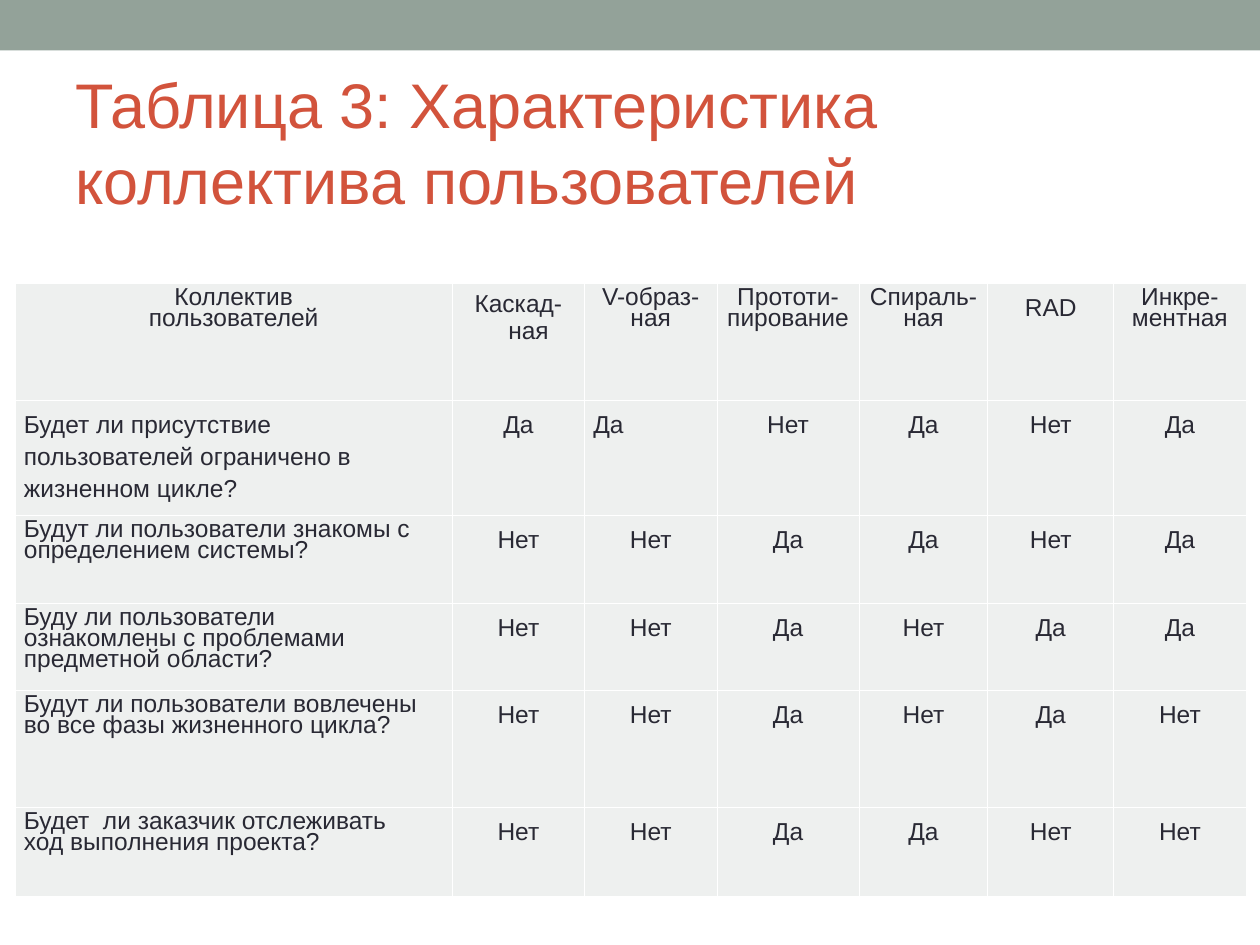
from dataclasses import dataclass

from pptx import Presentation
from pptx.dml.color import RGBColor
from pptx.enum.shapes import MSO_SHAPE
from pptx.enum.text import MSO_ANCHOR, PP_ALIGN
from pptx.oxml import parse_xml
from pptx.oxml.ns import nsdecls
from pptx.slide import Slide
from pptx.table import Table, _Cell
from pptx.text.text import _Paragraph
from pptx.util import Inches, Length, Pt


@dataclass(frozen=True)
class Theme:
    font: str = "Arial"
    band: str = "93A299"
    title: str = "D2533C"
    text: str = "292934"
    cell: str = "EEF0EF"
    border: str = "FFFFFF"
    title_size: Length = Pt(36)
    text_size: Length = Pt(14)
    border_width: Length = Pt(0.45)


@dataclass(frozen=True)
class CellText:
    text: str
    align: PP_ALIGN = PP_ALIGN.CENTER
    spacing: float | Length = 1.16
    last_line_indent: Length = Inches(0)


@dataclass(frozen=True)
class Question:
    text: str
    answers: str
    spacing: float | Length = Pt(12)


THEME = Theme()
TIGHT = Pt(12)
COLUMN_WIDTHS = (3.47, 1.05, 1.05, 1.13, 1.02, 1, 1.05)
ROW_HEIGHTS = (0.93, 0.81, 0.7, 0.69, 0.93, 0.7)

HEADER = [
    CellText("Коллектив\nпользователей", spacing=TIGHT),
    CellText("Каскад-\nная", spacing=1.0, last_line_indent=Inches(0.16)),
    CellText("V-образ-\nная", spacing=TIGHT),
    CellText("Прототи-\nпирование", spacing=TIGHT),
    CellText("Спираль-\nная", spacing=TIGHT),
    CellText("RAD"),
    CellText("Инкре-\nментная", spacing=TIGHT),
]

QUESTIONS = [
    Question(
        "Будет ли присутствие пользователей ограничено в жизненном цикле?",
        "Да Да Нет Да Нет Да",
        1.16,
    ),
    Question(
        "Будут ли пользователи знакомы с\nопределением системы?",
        "Нет Нет Да Да Нет Да",
    ),
    Question(
        "Буду ли пользователи\nознакомлены с проблемами\nпредметной области?",
        "Нет Нет Да Нет Да Да",
    ),
    Question(
        "Будут ли пользователи вовлечены\nво все фазы жизненного цикла?",
        "Нет Нет Да Нет Да Нет",
    ),
    Question(
        "Будет  ли заказчик отслеживать\nход выполнения проекта?",
        "Нет Нет Да Да Нет Нет",
    ),
]


def set_font(paragraph: _Paragraph, size: Length, color: str) -> None:
    paragraph.font.name = THEME.font
    paragraph.font.size = size
    paragraph.font.color.rgb = RGBColor.from_string(color)


def add_band(slide: Slide) -> None:
    band = slide.shapes.add_shape(
        MSO_SHAPE.RECTANGLE, Inches(0), Inches(0), Inches(10), Inches(0.4)
    )
    band.shadow.inherit = False
    band.fill.solid()
    band.fill.fore_color.rgb = RGBColor.from_string(THEME.band)
    band.line.fill.background()


def add_title(slide: Slide, text: str) -> None:
    title = slide.shapes.add_textbox(Inches(0.5), Inches(0.58), Inches(9), Inches(1.08))
    frame = title.text_frame
    frame.word_wrap = True
    frame.vertical_anchor = MSO_ANCHOR.MIDDLE
    frame.text = text
    set_font(frame.paragraphs[0], THEME.title_size, THEME.title)


def add_borders(cell: _Cell) -> None:
    properties = cell._tc.get_or_add_tcPr()
    for side in ("lnL", "lnR", "lnT", "lnB"):
        properties.append(parse_xml(
            f'<a:{side} {nsdecls("a")} w="{THEME.border_width}"><a:solidFill>'
            f'<a:srgbClr val="{THEME.border}"/></a:solidFill></a:{side}>'
        ))


def fill_cell(cell: _Cell, content: CellText) -> None:
    add_borders(cell)
    cell.fill.solid()
    cell.fill.fore_color.rgb = RGBColor.from_string(THEME.cell)
    cell.margin_left = cell.margin_right = Inches(0.07)
    cell.margin_top = cell.margin_bottom = Inches(0.05)
    cell.text = content.text
    paragraphs = cell.text_frame.paragraphs
    for paragraph in paragraphs:
        paragraph.alignment = content.align
        paragraph.line_spacing = content.spacing
        set_font(paragraph, THEME.text_size, THEME.text)
    if content.last_line_indent:
        paragraphs[-1]._p.get_or_add_pPr().set("marL", str(content.last_line_indent))


def build_rows() -> list[list[CellText]]:
    rows = [HEADER]
    for question in QUESTIONS:
        label = CellText(question.text, PP_ALIGN.LEFT, question.spacing)
        rows.append([label] + [CellText(answer) for answer in question.answers.split()])
    rows[1][2] = CellText("Да", PP_ALIGN.LEFT)
    return rows


def add_comparison(slide: Slide, rows: list[list[CellText]]) -> Table:
    table = slide.shapes.add_table(
        len(ROW_HEIGHTS), len(COLUMN_WIDTHS),
        Inches(0.12), Inches(2.25),
        Inches(sum(COLUMN_WIDTHS)), Inches(sum(ROW_HEIGHTS)),
    ).table
    table.first_row = False
    table.horz_banding = False
    for column, width in zip(table.columns, COLUMN_WIDTHS):
        column.width = Inches(width)
    for row, height, contents in zip(table.rows, ROW_HEIGHTS, rows):
        row.height = Inches(height)
        for cell, content in zip(row.cells, contents):
            fill_cell(cell, content)
    return table


def main() -> None:
    presentation = Presentation()
    presentation.slide_width = Inches(10)
    presentation.slide_height = Inches(7.5)
    slide = presentation.slides.add_slide(presentation.slide_layouts[6])
    add_band(slide)
    add_title(slide, "Таблица 3: Характеристика коллектива пользователей")
    add_comparison(slide, build_rows())
    presentation.save("out.pptx")


if __name__ == "__main__":
    main()
